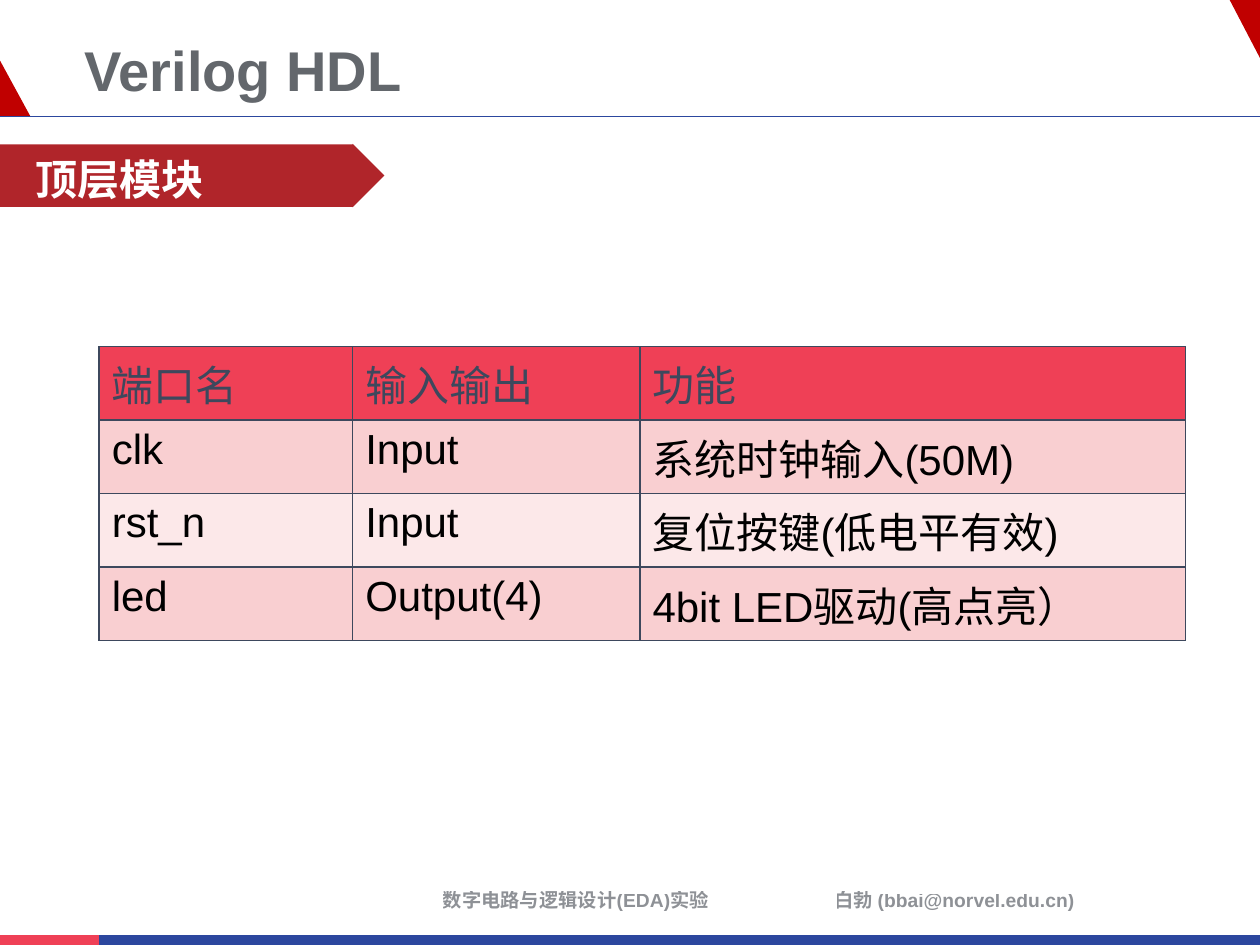
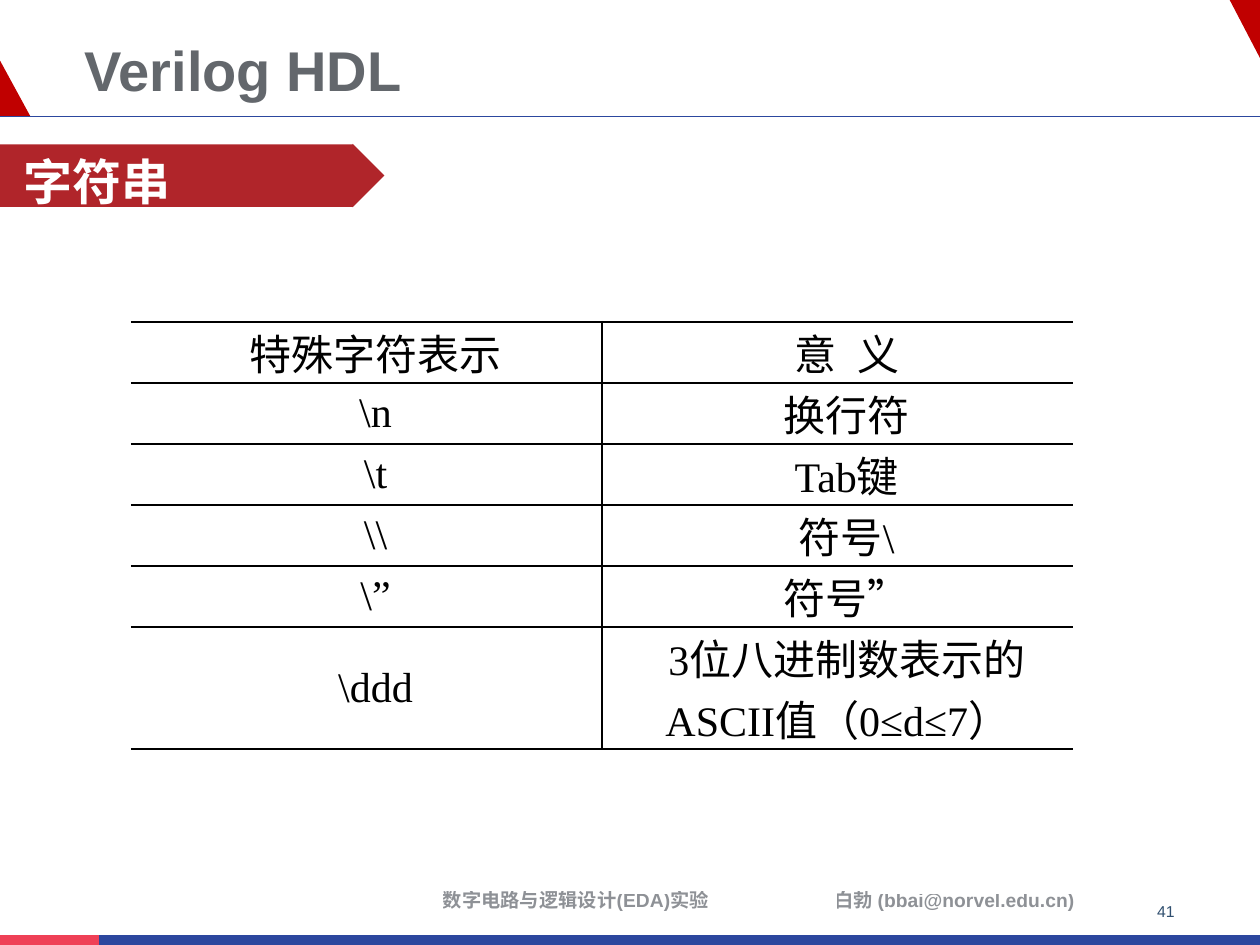
from lxml.etree import SubElement
from pptx import Presentation
from pptx.dml.color import RGBColor
from pptx.enum.shapes import MSO_CONNECTOR, MSO_SHAPE
from pptx.enum.text import MSO_ANCHOR as ANCHOR, PP_ALIGN as ALIGN
from pptx.oxml.ns import qn
from pptx.util import Cm, Pt

COLORS = {
    "title": "63676C", "white": "FFFFFF", "black": "000000",
    "corner": "C00000", "banner": "B0252A", "red": "EF4056", "blue": "2C479E",
    "footer": "1E242E", "number": "304F6F", "slate": "3D485D",
    "pink": "F9CFD1", "pale": "FCE8E9",
}
WIDTH, HEIGHT = 25.4, 19.05


class Deck:
    def __init__(self):
        self.prs = Presentation()
        self.prs.slide_width, self.prs.slide_height = Cm(WIDTH), Cm(HEIGHT)
        self.slide = None

    def color(self, name):
        return RGBColor.from_string(COLORS[name])

    def font(self, p, size, color, bold=False, name="Arial"):
        p.font.size, p.font.bold, p.font.name = Pt(size), bold, name
        p.font.color.rgb = self.color(color)

    def paint(self, sp, color):
        sp.shadow.inherit = False
        sp.fill.solid()
        sp.fill.fore_color.rgb = self.color(color)
        sp.line.fill.background()

    def shape(self, kind, x, y, w, h, color):
        sp = self.slide.shapes.add_shape(kind, Cm(x), Cm(y), Cm(w), Cm(h))
        self.paint(sp, color)
        return sp

    def triangle(self, *points):
        start, *rest = [(Cm(x), Cm(y)) for x, y in points]
        builder = self.slide.shapes.build_freeform(*start)
        builder.add_line_segments(rest, close=True)
        self.paint(builder.convert_to_shape(), "corner")

    def rule(self, y, color):
        line = self.slide.shapes.add_connector(
            MSO_CONNECTOR.STRAIGHT, 0, Cm(y), Cm(WIDTH), Cm(y))
        line.line.color.rgb = self.color(color)
        line.line.width = Pt(0.5)
        SubElement(line._element.spPr, qn("a:effectLst"))

    def set_text(self, sp, text, size, color, bold=True, align=ALIGN.LEFT, spacing=None):
        tf = sp.text_frame
        tf.word_wrap = True
        tf.vertical_anchor = ANCHOR.MIDDLE
        tf.margin_left = tf.margin_right = tf.margin_top = tf.margin_bottom = 0
        p = tf.paragraphs[0]
        p.text, p.alignment = text, align
        if spacing:
            p.line_spacing = Pt(spacing)
        self.font(p, size, color, bold)
        return p

    def text(self, x, y, w, h, *args, **kwargs):
        sp = self.slide.shapes.add_textbox(Cm(x), Cm(y), Cm(w), Cm(h))
        return self.set_text(sp, *args, **kwargs)

    def footer(self, x, w, text):
        p = self.text(x, 17.58, w, 1.14, text, 11, "footer", align=ALIGN.CENTER)
        for clr in p._p.iter(qn("a:srgbClr")):
            SubElement(clr, qn("a:alpha"), val="50000")

    def add_slide(self, title):
        self.slide = self.prs.slides.add_slide(self.prs.slide_layouts[5])
        self.triangle((24.79, 0), (WIDTH, 0), (WIDTH, 1.17))
        self.triangle((0.61, 2.34), (0, 2.34), (0, 1.22))
        self.rule(2.34, "blue")
        self.shape(MSO_SHAPE.RECTANGLE, 0, 18.85, 2, 0.2, "red")
        self.shape(MSO_SHAPE.RECTANGLE, 2, 18.85, WIDTH - 2, 0.2, "blue")
        banner = self.shape(MSO_SHAPE.RIGHT_ARROW, 0, 2.9, 7.75, 1.28, "banner")
        banner.adjustments[0], banner.adjustments[1] = 0.984, 0.5
        self.footer(7.9, 7.42, "数字电路与逻辑设计(EDA)实验")
        self.footer(15.75, 6.99, "白勃 (bbai@norvel.edu.cn)")
        sp = self.slide.shapes.title
        sp.left, sp.top, sp.width, sp.height = Cm(1.7), Cm(0.51), Cm(18.54), Cm(1.65)
        self.set_text(sp, title, 32, "title", spacing=42)

    def heading(self, x, y, w, h, text, size):
        self.text(x, y, w, h, text, size, "white", spacing=42)

    def page_number(self, number):
        self.text(22.91, 17.68, 1.19, 1.37, str(number), 9, "number",
                  bold=False, align=ALIGN.CENTER)

    def border(self, cell, side, color, width):
        ln = SubElement(cell._tc.get_or_add_tcPr(), qn(f"a:ln{side}"), w=str(Pt(width)))
        if width:
            fill = SubElement(ln, qn("a:solidFill"))
            SubElement(fill, qn("a:srgbClr"), val=COLORS[color])
        else:
            SubElement(ln, qn("a:noFill"))

    def table(self, x, y, widths, heights, rows, line, sides, ends, fills, style):
        frame = self.slide.shapes.add_table(
            len(rows), len(widths), Cm(x), Cm(y), Cm(sum(widths)), Cm(sum(heights)))
        table = frame.table
        table.first_row = table.horz_banding = False
        for column, width in zip(table.columns, widths):
            column.width = Cm(width)
        for row, height in zip(table.rows, heights):
            row.height = Cm(height)
        last_row, last_col = len(rows) - 1, len(widths) - 1
        for i, row in enumerate(rows):
            for j, text in enumerate(row):
                cell = table.cell(i, j)
                self.border(cell, "L", line, 1 if j else sides)
                self.border(cell, "R", line, 1 if j < last_col else sides)
                self.border(cell, "T", line, 1 if i else ends)
                self.border(cell, "B", line, 1 if i < last_row else ends)
                if fills:
                    cell.fill.solid()
                    cell.fill.fore_color.rgb = self.color(fills[i])
                else:
                    cell.fill.background()
                cell.text = text
                style(cell, i)

    def port_cell(self, cell, row):
        self.font(cell.text_frame.paragraphs[0], 24, "black" if row else "slate")

    def escape_cell(self, cell, row):
        cell.vertical_anchor = ANCHOR.MIDDLE
        cell.margin_left = cell.margin_right = Cm(0.18)
        cell.margin_top = cell.margin_bottom = 0
        p = cell.text_frame.paragraphs[0]
        p.alignment = ALIGN.CENTER
        p._p.get_or_add_pPr().set("indent", str(Cm(0.36)))
        self.font(p, 24, "black", name="Times New Roman")


deck = Deck()

deck.add_slide("Verilog HDL")
ports = [
    ("端口名", "输入输出", "功能"),
    ("clk", "Input", "系统时钟输入(50M)"),
    ("rst_n", "Input", "复位按键(低电平有效)"),
    ("led", "Output(4)", "4bit LED驱动(高点亮）"),
]
deck.table(2, 6.99, [5.11, 5.79, 11], [1.48] * 4, ports, "slate", 1, 1,
           ["red", "pink", "pale", "pink"], deck.port_cell)
deck.heading(0.71, 2.82, 6, 1.12, "顶层模块", 24)

deck.add_slide("Verilog HDL")
deck.page_number(41)
escapes = [
    ("特殊字符表示", "意\u2002义"),
    ("\\n", "换行符"),
    ("\\t", "Tab键"),
    ("\\\\", "符号\\"),
    ("\\”", "符号”"),
    ("\\ddd", "3位八进制数表示的ASCII值（0≤d≤7）"),
]
deck.table(2.64, 6.49, [9.5] * 2, [1.23] * 5 + [2.46], escapes, "black", 0, 1.5,
           None, deck.escape_cell)
deck.heading(0.48, 2.67, 18.54, 1.65, "字符串", 28)

deck.prs.save("out.pptx")
